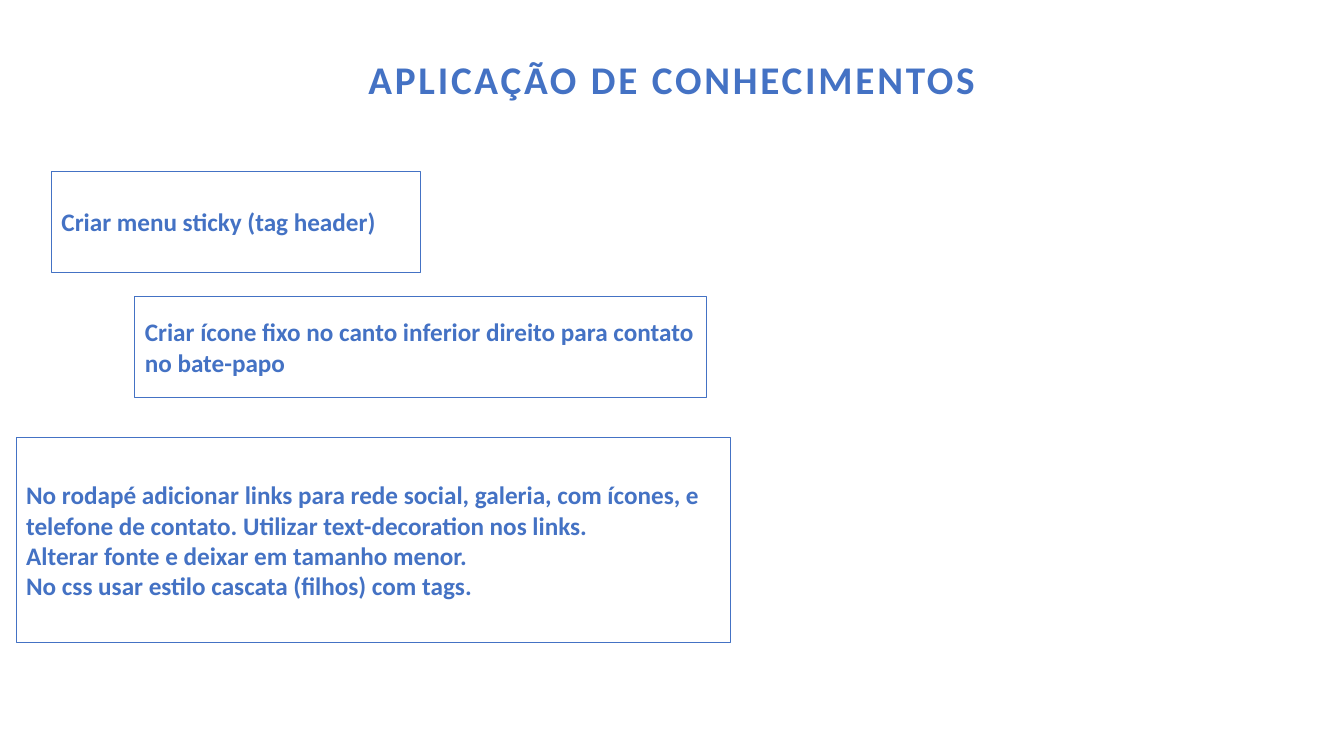
from lxml import etree
from pptx import Presentation
from pptx.dml.color import RGBColor
from pptx.enum.shapes import MSO_SHAPE
from pptx.enum.text import MSO_ANCHOR, MSO_AUTO_SIZE, PP_ALIGN
from pptx.oxml.ns import qn
from pptx.util import Cm, Pt

BLUE = RGBColor(0x44, 0x72, 0xC4)
WHITE = RGBColor(0xFF, 0xFF, 0xFF)
FONT = "Calibri"
RECTANGLE = MSO_SHAPE.RECTANGLE
MIDDLE = MSO_ANCHOR.MIDDLE
NO_AUTOFIT = MSO_AUTO_SIZE.NONE
LEFT, CENTER = PP_ALIGN.LEFT, PP_ALIGN.CENTER
TITLE_ONLY_LAYOUT = 5

# Left, top, width and height in centimetres, then the paragraphs.
TASKS = [
    ((1.3, 4.32, 9.3, 2.54), ["Criar menu sticky (tag header)"]),
    ((3.4, 7.47, 14.4, 2.54),
     ["Criar ícone fixo no canto inferior direito para contato no bate-papo"]),
    ((0.41, 11.02, 18.01, 5.18),
     ["No rodapé adicionar links para rede social, galeria, com ícones, e "
      "telefone de contato. Utilizar text-decoration nos links.",
      "Alterar fonte e deixar em tamanho menor.",
      "No css usar estilo cascata (filhos) com tags."]),
]


def add_bold_span(para, text, size):
    span = para.add_run()
    span.text = text
    span.font.name = FONT
    span.font.size = Pt(size)
    span.font.bold = True
    span.font.color.rgb = BLUE
    return span


def set_title(page, text):
    title = page.shapes.title
    title.left, title.top = Cm(1.3), Cm(0.41)
    title.width, title.height = Cm(31.27), Cm(3.3)
    frame = title.text_frame
    frame.word_wrap = True
    frame.auto_size = NO_AUTOFIT
    frame.vertical_anchor = MIDDLE
    frame.margin_left = frame.margin_right = Cm(0.51)
    frame.margin_top = frame.margin_bottom = Cm(0.51)
    para = frame.paragraphs[0]
    para.alignment = CENTER
    para.line_spacing = 0.9
    para.space_after = Pt(6)
    span = add_bold_span(para, text, 28)
    span.font._element.set("spc", "200")


def set_opacity(fill, percent):
    color = fill._xPr.find(qn("a:solidFill"))[0]
    etree.SubElement(color, qn("a:alpha"), val=str(percent * 1000))


def add_task_box(page, bounds, lines):
    box = page.shapes.add_shape(RECTANGLE, *map(Cm, bounds))
    box.shadow.inherit = False
    box.fill.solid()
    box.fill.fore_color.rgb = WHITE
    set_opacity(box.fill, 60)
    box.line.color.rgb = BLUE
    box.line.width = Pt(0.75)
    frame = box.text_frame
    frame.word_wrap = True
    frame.vertical_anchor = MIDDLE
    for index, line in enumerate(lines):
        para = frame.add_paragraph() if index else frame.paragraphs[0]
        para.alignment = LEFT
        add_bold_span(para, line, 18)


def main():
    deck = Presentation()
    deck.slide_width, deck.slide_height = Cm(33.87), Cm(19.05)
    page = deck.slides.add_slide(deck.slide_layouts[TITLE_ONLY_LAYOUT])
    page.background.fill.solid()
    page.background.fill.fore_color.rgb = WHITE
    set_title(page, "APLICAÇÃO DE CONHECIMENTOS")
    for bounds, lines in TASKS:
        add_task_box(page, bounds, lines)
    deck.save("out.pptx")


if __name__ == "__main__":
    main()
